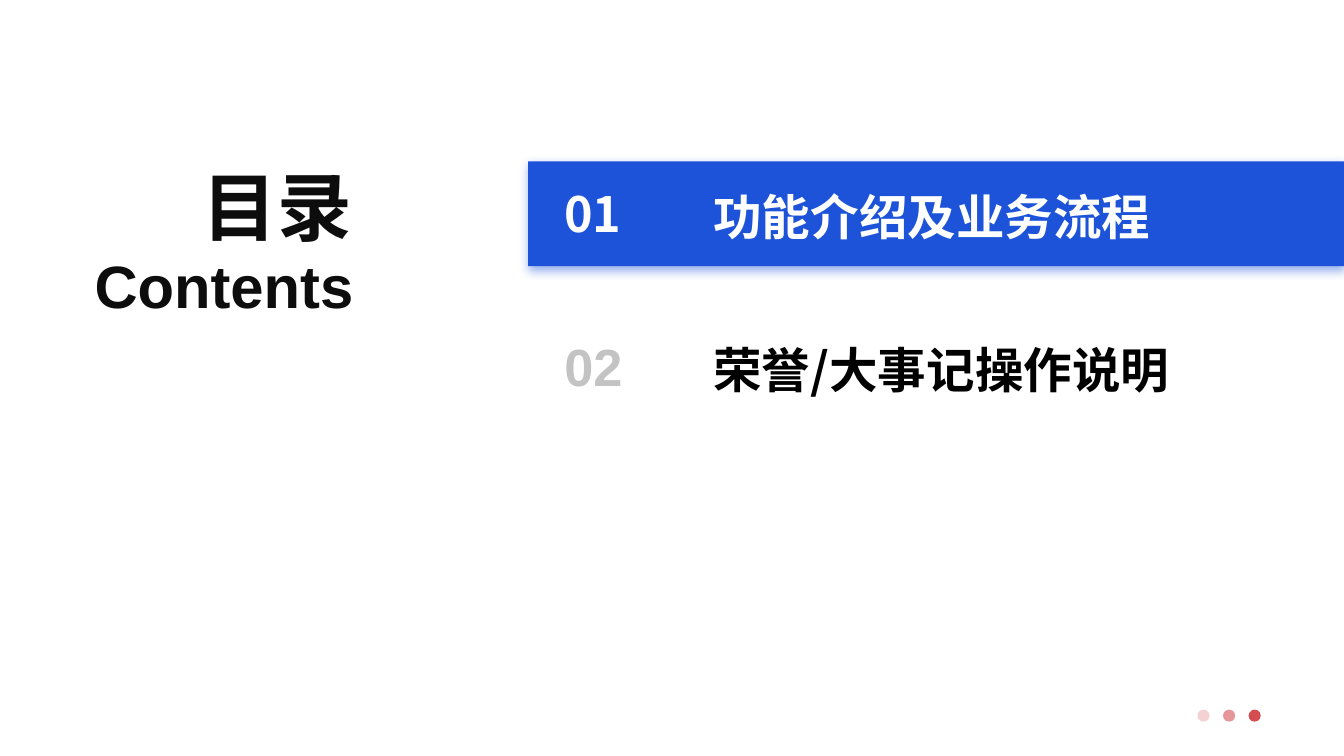
from lxml import etree
from pptx import Presentation
from pptx.dml.color import RGBColor
from pptx.enum.shapes import MSO_SHAPE
from pptx.enum.text import MSO_ANCHOR, MSO_AUTO_SIZE, PP_ALIGN
from pptx.oxml.ns import qn
from pptx.util import Inches, Pt

RECTANGLE, OVAL = MSO_SHAPE.RECTANGLE, MSO_SHAPE.OVAL
LEFT, RIGHT = PP_ALIGN.LEFT, PP_ALIGN.RIGHT
TOP = MSO_ANCHOR.TOP
GROW = MSO_AUTO_SIZE.SHAPE_TO_FIT_TEXT
TITLE_ONLY = 5
SLIDE_WIDTH = 10

COLORS = {
    "accent": "1C53D9",
    "heading": "0D0D0D",
    "muted": "C3C3C3",
    "black": "000000",
    "white": "FFFFFF",
    "dot": "D44D51",
}
CJK, LATIN = "Noto Sans CJK SC", "Arial"


def write_text(holder, text, *, size, font, color, align=LEFT, wrap=False):
    """Fill a text holder with one bold formatted paragraph."""
    frame = holder.text_frame
    frame.text = text
    frame.word_wrap = wrap
    frame.auto_size = GROW
    frame.vertical_anchor = TOP
    paragraph = frame.paragraphs[0]
    paragraph.alignment = align
    run = paragraph.runs[0]
    run.font.size = Pt(size)
    run.font.bold = True
    run.font.name = font
    run.font.color.rgb = RGBColor.from_string(COLORS[color])
    east_asian = etree.SubElement(run.font._element, qn("a:ea"))
    east_asian.set("typeface", font)


def add_text(slide, box, text, **style):
    """Add a text box at (left, top, width, height) in inches."""
    holder = slide.shapes.add_textbox(*map(Inches, box))
    write_text(holder, text, **style)


def add_alpha(rgb, opacity):
    """Give a colour element an opacity in percent."""
    etree.SubElement(rgb, qn("a:alpha")).set("val", str(opacity * 1000))


def add_filled(shapes, preset, box, color, opacity=100):
    """Add a borderless preset shape with a solid fill."""
    shape = shapes.add_shape(preset, *map(Inches, box))
    shape.shadow.inherit = False
    shape.line.fill.background()
    shape.fill.solid()
    shape.fill.fore_color.rgb = RGBColor.from_string(COLORS[color])
    if opacity < 100:
        add_alpha(shape._element.spPr.find(".//" + qn("a:srgbClr")), opacity)
    return shape


def add_glow_below(shape, color, opacity):
    """Cast a soft coloured shadow straight down from a shape."""
    effects = shape._element.spPr.find(qn("a:effectLst"))
    shadow = etree.SubElement(effects, qn("a:outerShdw"))
    settings = {"blurRad": Pt(5), "dist": Pt(2), "dir": 90 * 60000,
                "algn": "t", "rotWithShape": 0}
    for key, value in settings.items():
        shadow.set(key, str(int(value)) if key != "algn" else value)
    rgb = etree.SubElement(shadow, qn("a:srgbClr"))
    rgb.set("val", COLORS[color])
    add_alpha(rgb, opacity)


def build_heading(slide, left, top, width):
    """Place the right-aligned heading and its English subtitle."""
    title = slide.shapes.title
    title.left, title.top = Inches(left + width - 1.33), Inches(top)
    title.width, title.height = Inches(1.32), Inches(0.77)
    write_text(title, "目录", size=40, font=CJK, color="heading", align=RIGHT)
    add_text(slide, (left, top + 0.65, width, 0.64), "Contents",
             size=32, font=LATIN, color="heading", align=RIGHT)


def build_entry(slide, left, top, number, label, active):
    """Place one contents row, highlighted when it is active."""
    if active:
        bar = add_filled(slide.shapes, RECTANGLE,
                         (left, top, SLIDE_WIDTH - left, 0.78), "accent")
        add_glow_below(bar, "accent", 46)
        number_style = {"size": 26, "font": CJK, "color": "white"}
    else:
        number_style = {"size": 28, "font": LATIN, "color": "muted", "wrap": True}
    number_box = (left + 0.17, top + (0.12 if active else 0.1),
                  0.63 if active else 0.69, 0.57)
    add_text(slide, number_box, number, **number_style)
    add_text(slide, (left + 1.28, top + 0.14, 3.62, 0.54), label, size=26,
             font=CJK, color="white" if active else "black", wrap=True)


def build_dots(slide, left, top):
    """Place the group of three dots that fade to the left."""
    dots = slide.shapes.add_group_shape()
    for index, opacity in enumerate((25, 59, 100)):
        add_filled(dots.shapes, OVAL, (left + index * 0.19, top, 0.09, 0.09),
                   "dot", opacity)


def main():
    """Build and save the contents slide."""
    presentation = Presentation()
    presentation.slide_width = Inches(SLIDE_WIDTH)
    presentation.slide_height = Inches(SLIDE_WIDTH * 9 / 16)
    slide = presentation.slides.add_slide(presentation.slide_layouts[TITLE_ONLY])
    build_heading(slide, 0.59, 1.15, 2.14)
    entries = ("功能介绍及业务流程", "荣誉/大事记操作说明")
    for index, label in enumerate(entries):
        build_entry(slide, 3.93, 1.2 + index * 1.14, f"{index + 1:02}", label,
                    active=index == 0)
    build_dots(slide, 8.91, 5.28)
    presentation.save("out.pptx")


if __name__ == "__main__":
    main()
